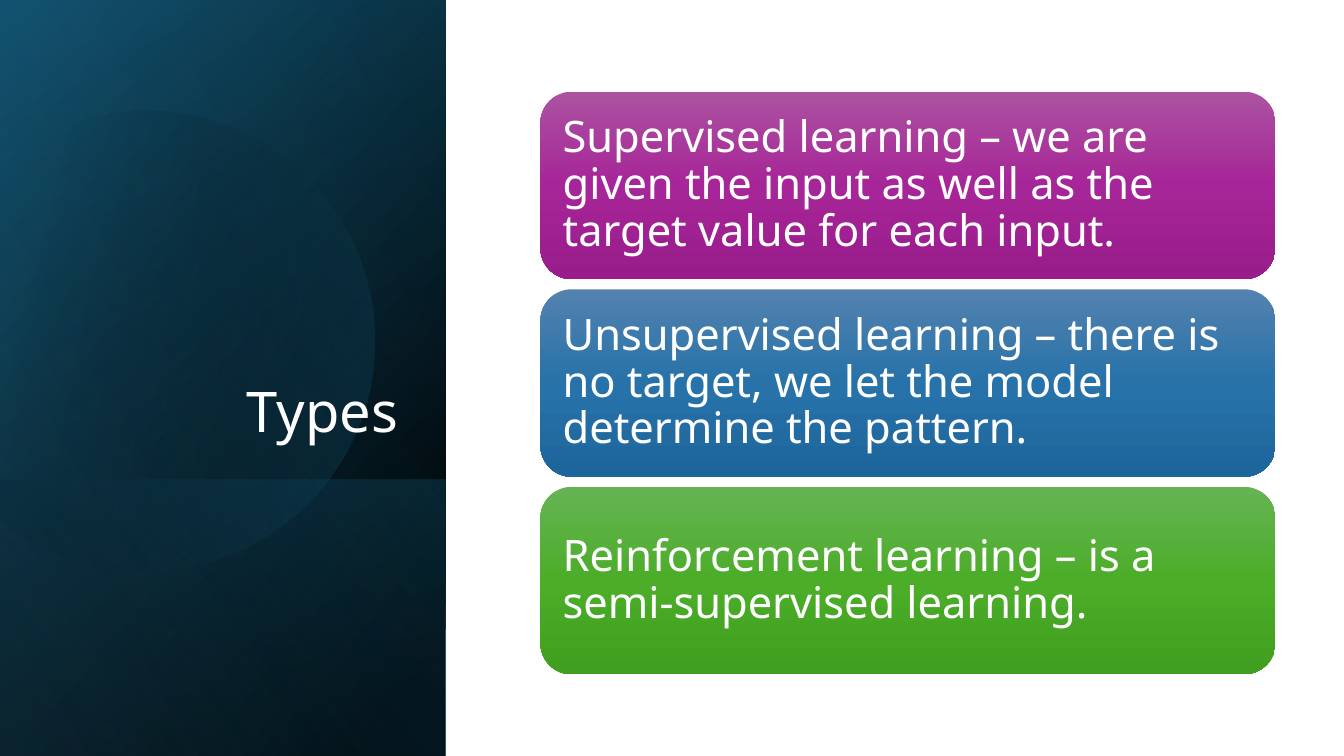
"""Build the slide on the three types of machine learning."""
from dataclasses import dataclass
from math import cos, radians, sin

from lxml import etree
from pptx import Presentation
from pptx.dml.color import RGBColor
from pptx.enum.shapes import MSO_SHAPE
from pptx.enum.text import MSO_ANCHOR, MSO_AUTO_SIZE, PP_ALIGN
from pptx.oxml.ns import qn
from pptx.util import Inches, Pt

RECTANGLE = MSO_SHAPE.RECTANGLE
ROUNDED = MSO_SHAPE.ROUNDED_RECTANGLE
MIDDLE, BOTTOM = MSO_ANCHOR.MIDDLE, MSO_ANCHOR.BOTTOM
LEFT, RIGHT = PP_ALIGN.LEFT, PP_ALIGN.RIGHT
NO_FIT = MSO_AUTO_SIZE.NONE


@dataclass(frozen=True)
class Theme:
    font: str = "Noto Sans"
    title_size: int = 40
    card_size: int = 31
    line_spacing: float = 0.9
    text: str = "FFFFFF"
    black: str = "000000"
    navy: str = "104862"
    teal: str = "156082"
    sky: str = "46B1E1"
    purple: tuple = ("AC53A0", "A62598", "991C8B")
    blue: tuple = ("5382AF", "2772A9", "1D669C")
    green: tuple = ("66B354", "4BAD28", "409F1E")


THEME = Theme()
CARDS = [
    ("Supervised learning – we are given the input as well as the target value for each input.",
     THEME.purple),
    ("Unsupervised learning – there is no target, we let the model determine the pattern.",
     THEME.blue),
    ("Reinforcement learning – is a semi-supervised learning.", THEME.green),
]
CARD_LEFT, CARD_TOP, CARD_WIDTH, CARD_HEIGHT, CARD_PITCH = 5.36, 0.91, 7.29, 1.86, 1.96
SIDEBAR = (-1.54, 1.54, 7.5, 4.42)
SIDEBAR_FOOT = (0.84, 3.92, 2.74, 4.42)

DISC_CENTRE = (1.58, 3.34)
DISC_TURN = 343.9
DISC_START = (1.49, 1.1)
DISC_RIGHT_ARC = [
    ((2.46, 1.12), (3.35, 1.77), (3.63, 2.75)),
    ((3.98, 3.97), (3.28, 5.23), (2.07, 5.58)),
    ((1.31, 5.8), (0.53, 5.61), (-0.03, 5.14)),
]
DISC_CUT = [(-0.15, 5.03), (-0.15, 1.75), (0, 1.61)]
DISC_LEFT_ARC = [
    ((0.23, 1.42), (0.5, 1.28), (0.8, 1.19)),
    ((1.03, 1.13), (1.26, 1.1), DISC_START),
]


def curve_points(start, curves, steps=20):
    points = []
    for first, second, end in curves:
        for step in range(1, steps + 1):
            t = step / steps
            u = 1 - t
            points.append(tuple(
                u**3 * a + 3 * u * u * t * b + 3 * u * t * t * c + t**3 * d
                for a, b, c, d in zip(start, first, second, end)))
        start = end
    return points


def turned(point, centre, degrees):
    angle = radians(degrees)
    x, y = point[0] - centre[0], point[1] - centre[1]
    return (centre[0] + x * cos(angle) - y * sin(angle),
            centre[1] + x * sin(angle) + y * cos(angle))


class SlideBuilder:
    def __init__(self, slide, theme):
        self.slide = slide
        self.theme = theme

    def paint(self, shape, stops, angle):
        shape.shadow.inherit = False
        shape.line.fill.background()
        shape.fill.gradient()
        shape.fill.gradient_angle = (360 - angle) % 360
        stop_list = next(shape._element.spPr.iter(qn("a:gsLst")))
        for stop in list(stop_list):
            stop_list.remove(stop)
        for position, color, opacity in stops:
            stop = etree.SubElement(stop_list, qn("a:gs"), pos=str(position * 1000))
            rgb = etree.SubElement(stop, qn("a:srgbClr"), val=color)
            if opacity < 100:
                etree.SubElement(rgb, qn("a:alpha"), val=str(opacity * 1000))

    def fill_text(self, frame, text, size, anchor, align):
        frame.word_wrap = True
        frame.auto_size = NO_FIT
        frame.vertical_anchor = anchor
        paragraph = frame.paragraphs[0]
        paragraph.alignment = align
        paragraph.line_spacing = self.theme.line_spacing
        run = paragraph.add_run()
        run.text = text
        run.font.name = self.theme.font
        run.font.size = Pt(size)
        run.font.color.rgb = RGBColor.from_string(self.theme.text)

    def panel(self, box, stops, angle):
        panel = self.slide.shapes.add_shape(RECTANGLE, *map(Inches, box))
        panel.rotation = 90
        panel._element.spPr.xfrm.set("flipH", "1")
        self.paint(panel, stops, angle)

    def outline(self, points, centre, rotation, stops, angle):
        level = [turned(point, centre, -rotation) for point in points]
        corners = [(Inches(x), Inches(y)) for x, y in level]
        builder = self.slide.shapes.build_freeform(*corners[0])
        builder.add_line_segments(corners[1:], close=True)
        outline = builder.convert_to_shape()
        outline.rotation = rotation
        self.paint(outline, stops, angle)

    def title(self, text, box):
        title = self.slide.shapes.title
        title.left, title.top, title.width, title.height = map(Inches, box)
        self.fill_text(title.text_frame, text, self.theme.title_size, BOTTOM, RIGHT)
        self.slide.shapes._spTree.append(title._element)

    def card(self, text, box, colors):
        card = self.slide.shapes.add_shape(ROUNDED, *map(Inches, box))
        self.paint(card, [(p, c, 100) for p, c in zip((0, 50, 100), colors)], 90)
        frame = card.text_frame
        frame.margin_left = frame.margin_right = Inches(0.13)
        frame.margin_top = frame.margin_bottom = Inches(0.13)
        self.fill_text(frame, text, self.theme.card_size, MIDDLE, LEFT)


def main():
    presentation = Presentation()
    presentation.slide_width, presentation.slide_height = Inches(13.33), Inches(7.5)
    slide = presentation.slides.add_slide(presentation.slide_layouts.get_by_name("Title Only"))
    builder = SlideBuilder(slide, THEME)

    builder.panel(SIDEBAR, [(8, THEME.black, 100), (100, THEME.navy, 100)], 50)
    builder.panel(SIDEBAR, [(0, THEME.black, 0), (99, THEME.teal, 46)], 30)
    builder.panel(SIDEBAR_FOOT, [(2, THEME.teal, 29), (100, THEME.black, 30)], 130)
    disc = [DISC_START, *curve_points(DISC_START, DISC_RIGHT_ARC),
            *DISC_CUT, *curve_points(DISC_CUT[-1], DISC_LEFT_ARC)]
    builder.outline(disc, DISC_CENTRE, DISC_TURN,
                    [(29, THEME.black, 0), (100, THEME.teal, 43)], 30)
    builder.panel(SIDEBAR, [(0, THEME.black, 0), (99, THEME.sky, 11)], 120)

    builder.title("Types", (0.64, 1.84, 3.41, 2.62))
    for row, (text, colors) in enumerate(CARDS):
        top = CARD_TOP + row * CARD_PITCH
        builder.card(text, (CARD_LEFT, top, CARD_WIDTH, CARD_HEIGHT), colors)

    presentation.save("out.pptx")


if __name__ == "__main__":
    main()
